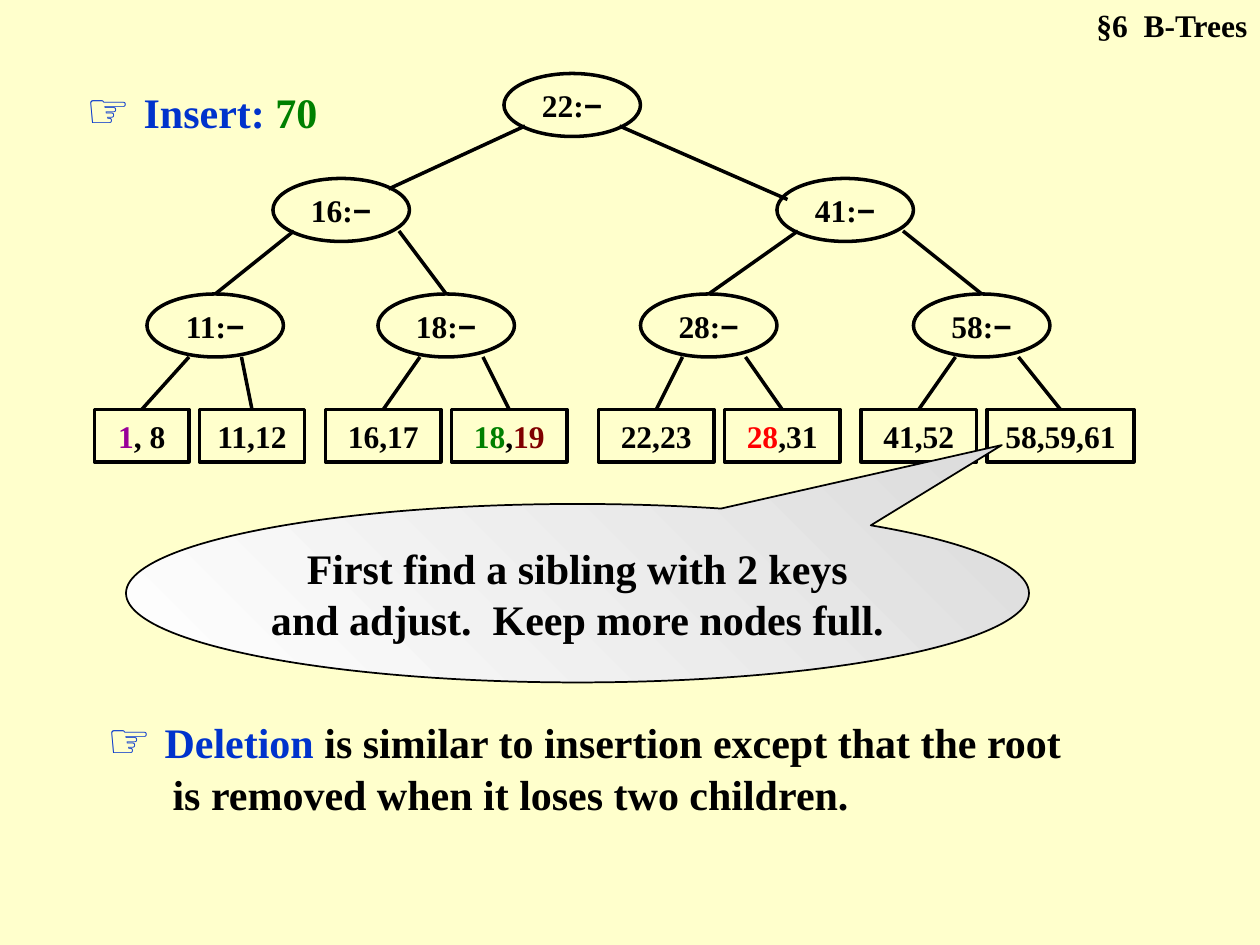
import dataclasses

import pptx
import pptx.dml.color
import pptx.enum.shapes
import pptx.enum.text
import pptx.oxml
import pptx.oxml.ns
import pptx.util
from pptx.util import Cm


@dataclasses.dataclass(frozen=True)
class Theme:
    serif: str = "Times New Roman"
    sans: str = "Arial"
    small: int = 18
    body: int = 24
    pointer: int = 28
    paper: str = "FFFFCC"
    ink: str = "000000"
    blue: str = "0033CC"
    green: str = "008000"
    purple: str = "990099"
    maroon: str = "800000"
    red: str = "FF0000"
    white: str = "FFFFFF"
    grey: str = "DDDDDD"


theme = Theme()
rgb = pptx.dml.color.RGBColor.from_string
SHAPE = pptx.enum.shapes.MSO_SHAPE
ALIGN = pptx.enum.text.PP_ALIGN
ANCHOR = pptx.enum.text.MSO_ANCHOR


def grid(*steps):
    """Turn steps of a twelfth of an inch into lengths."""
    return [Cm(step * 2.54 / 12) for step in steps]


def write(paragraph, pieces, size, align):
    """Add (text, colour[, font[, size]]) pieces as bold runs."""
    paragraph.alignment = align
    for text, colour, *special in pieces:
        run = paragraph.add_run()
        run.text = text
        run.font.name = special[0] if special else theme.serif
        run.font.size = pptx.util.Pt(special[1] if len(special) > 1 else size)
        run.font.bold = True
        run.font.color.rgb = rgb(colour)


deck = pptx.Presentation()
deck.slide_width, deck.slide_height = Cm(25.4), Cm(19.05)
slide = deck.slides.add_slide(deck.slide_layouts[3])
slide.background.fill.solid()
slide.background.fill.fore_color.rgb = rgb(theme.paper)

# Section title and the two pointed remarks
section, insertion, deletion = slide.placeholders
pointer = ("☞ ", theme.blue, theme.sans, theme.pointer)
remarks = [
    (section, (98, 0, 22, 4.8), 0, theme.small, ALIGN.RIGHT,
     [("§6  B-Trees", theme.ink)]),
    (insertion, (7, 7, 29, 6.8), 0, theme.body, ALIGN.LEFT,
     [pointer, ("Insert: ", theme.blue), ("70", theme.green)]),
    (deletion, (9, 67, 95, 11.6), 1.32, theme.body, ALIGN.LEFT,
     [pointer, ("Deletion ", theme.blue),
      ("is similar to insertion except that the root is removed"
       " when it loses two children.", theme.ink)]),
]
for holder, place, hanging, size, align, pieces in remarks:
    holder.left, holder.top, holder.width, holder.height = grid(*place)
    frame = holder.text_frame
    frame.auto_size = pptx.enum.text.MSO_AUTO_SIZE.NONE
    frame.vertical_anchor = ANCHOR.TOP
    line = frame.paragraphs[0]
    properties = line._p.get_or_add_pPr()
    properties.set("marL", str(Cm(hanging)))
    properties.set("indent", str(-Cm(hanging)))
    pptx.oxml.ns.qn("a:buNone")
    properties.append(pptx.oxml.parse_xml(
        f'<a:buNone {pptx.oxml.ns.nsdecls("a")}/>'))
    line.space_before = pptx.util.Pt(0)
    write(line, pieces, size, align)

# Tree nodes: key, shape, left, top, width, height, filled, pieces
inner_places = {"22": (48, 7), "16": (26, 17), "41": (74, 17),
                "11": (14, 28), "18": (36, 28), "28": (61, 28), "58": (87, 28)}
nodes = [(key, SHAPE.OVAL, (left, top, 13, 6), False,
          [(key + ":", theme.ink), ("−", theme.ink, theme.sans)])
         for key, (left, top) in inner_places.items()]
leaves = [
    (9, 9, False, [("1", theme.purple), (", 8", theme.ink)]),
    (19, 10, False, [("11,12", theme.ink)]),
    (31, 11, True, [("16,17", theme.ink)]),
    (43, 11, True, [("18", theme.green), (",", theme.ink), ("19", theme.maroon)]),
    (57, 11, False, [("22,23", theme.ink)]),
    (69, 11, False, [("28", theme.red), (",31", theme.ink)]),
    (82, 11, False, [("41,52", theme.ink)]),
    (94, 14, False, [("58,59,61", theme.ink)]),
]
nodes += [(number, SHAPE.RECTANGLE, (left, 39, width, 5), filled, pieces)
          for number, (left, width, filled, pieces) in enumerate(leaves)]

tree = {}
for key, outline, place, filled, pieces in nodes:
    node = slide.shapes.add_shape(outline, *grid(*place))
    node.shadow.inherit = False
    if filled:
        node.fill.solid()
        node.fill.fore_color.rgb = rgb(theme.paper)
    else:
        node.fill.background()
    node.line.color.rgb = rgb(theme.ink)
    node.line.width = pptx.util.Pt(2)
    node.text_frame.word_wrap = False
    node.text_frame.vertical_anchor = ANCHOR.MIDDLE
    write(node.text_frame.paragraphs[0], pieces, theme.small, ALIGN.CENTER)
    tree[key] = node

# Branches: start, end, and the child whose top the branch meets
branches = [((50, 12), (37, 18), None), ((59, 12), (75, 19), None)]
for parent, children in {"16": ("11", "18"), "41": ("28", "58")}.items():
    left = inner_places[parent][0]
    for child, offset in zip(children, (2, 12)):
        branches.append(((left + offset, 22), (left, 28), child))
leaf_starts = (18, 23, 40, 46, 65, 71, 91, 97)
branches += [((x, 34), (x, 39), leaf) for leaf, x in enumerate(leaf_starts)]

for start, end, child in branches:
    branch = slide.shapes.add_connector(
        pptx.enum.shapes.MSO_CONNECTOR.STRAIGHT, *grid(*start, *end))
    if child is not None:
        branch.end_connect(tree[child], 0)
    branch.line.color.rgb = rgb(theme.ink)
    branch.line.width = pptx.util.Pt(2)
    branch._element.spPr.append(pptx.oxml.parse_xml(
        f'<a:effectLst {pptx.oxml.ns.nsdecls("a")}/>'))

# Advice pointing at the overfull leaf
advice = slide.shapes.add_shape(SHAPE.OVAL_CALLOUT, *grid(12, 48, 86, 17))
advice.adjustments[0], advice.adjustments[1] = 0.47, -0.83
advice.shadow.inherit = False
advice.fill.gradient()
advice.fill.gradient_angle = 45
for stop, colour in zip(advice.fill.gradient_stops, (theme.white, theme.grey)):
    stop.color.rgb = rgb(colour)
advice.line.color.rgb = rgb(theme.ink)
advice.line.width = pptx.util.Pt(1)
advice.text_frame.word_wrap = True
advice.text_frame.vertical_anchor = ANCHOR.MIDDLE
write(advice.text_frame.paragraphs[0],
      [("First find a sibling with 2 keys and adjust.  Keep more nodes full.",
        theme.ink)], theme.body, ALIGN.CENTER)

deck.save("out.pptx")
